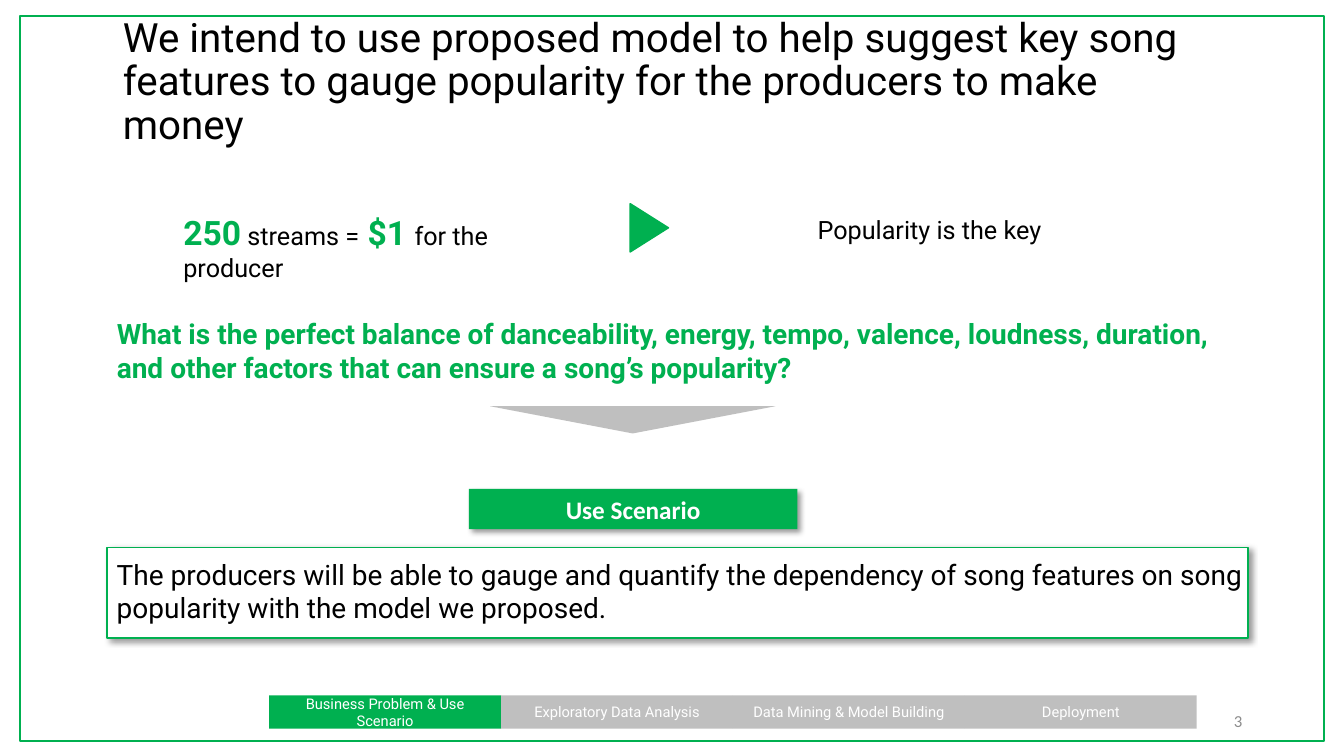
from lxml import etree
from pptx import Presentation
from pptx import util as u
from pptx.dml.color import RGBColor
from pptx.enum import shapes, text
from pptx.oxml import ns

PX = 9144
THEME = {
    "green": "00B050", "gray": "BFBFBF", "white": "FFFFFF", "black": "000000",
    "muted": "8C8C8C", "font": "Roboto", "alt_font": "Calibri",
    "title": 28.8, "figure": 24, "lead": 20, "body": 18, "number": 12, "nav": 10.5,
}
RECT = shapes.MSO_SHAPE.RECTANGLE
TRIANGLE = shapes.MSO_SHAPE.ISOSCELES_TRIANGLE

deck = Presentation()
deck.slide_width, deck.slide_height = 1333 * PX, 750 * PX
slide = deck.slides.add_slide(deck.slide_layouts[6])


def place(kind, left, top, width, height, fill=None, line=None, weight=1, raised=False):
    box = [n * PX for n in (left, top, width, height)]
    if kind is None:
        return slide.shapes.add_textbox(*box)
    shape = slide.shapes.add_shape(kind, *box)
    shape.shadow.inherit = False
    if fill:
        shape.fill.solid()
        shape.fill.fore_color.rgb = RGBColor.from_string(THEME[fill])
    else:
        shape.fill.background()
    if line:
        shape.line.color.rgb = RGBColor.from_string(THEME[line])
        shape.line.width = u.Pt(weight)
    else:
        shape.line.fill.background()
    if raised:
        effects = shape.element.spPr.find(ns.qn("a:effectLst"))
        shadow = etree.SubElement(effects, ns.qn("a:outerShdw"), blurRad=str(u.Pt(4)),
                                  dist=str(u.Pt(3)), dir="2700000", algn="tl", rotWithShape="0")
        tint = etree.SubElement(shadow, ns.qn("a:srgbClr"), val=THEME["black"])
        etree.SubElement(tint, ns.qn("a:alpha"), val="40000")
    return shape


def write(shape, words, size="body", color="black", bold=False, font="font",
          align="LEFT", anchor="TOP", spacing=None):
    frame = shape.text_frame
    frame.word_wrap = True
    frame.vertical_anchor = text.MSO_ANCHOR[anchor]
    paragraph = frame.paragraphs[0]
    paragraph.alignment = text.PP_ALIGN[align]
    if spacing:
        paragraph.line_spacing = spacing
    run = paragraph.add_run()
    run.text = words
    run.font.name = THEME[font]
    run.font.size = u.Pt(THEME[size])
    run.font.bold = bold
    run.font.color.rgb = RGBColor.from_string(THEME[color])


place(RECT, 20, 16, 1293, 719, line="green", weight=1.5)

stages = ["Business Problem & Use Scenario", "Exploratory Data Analysis",
          "Data Mining & Model Building", "Deployment"]
for i, stage in enumerate(stages):
    tab = place(RECT, 267 + 230 * i, 690, 230, 33, fill="gray" if i else "green")
    write(tab, stage, size="nav", color="white", align="CENTER", anchor="MIDDLE")

title = place(None, 112, 32, 1108, 100)
write(title, "We intend to use proposed model to help suggest key song features to gauge "
      "popularity for the producers to make money", size="title", anchor="MIDDLE", spacing=0.9)

question = place(None, 106, 309, 1132, 77)
write(question, "What is the perfect balance of danceability, energy, tempo, valence, loudness, "
      "duration, and other factors that can ensure a song’s popularity?",
      size="lead", color="green", bold=True)

place(RECT, 106, 543, 1132, 90, fill="white", line="green", raised=True)
answer = place(None, 106, 548, 1157, 77)
write(answer, "The producers will be able to gauge and quantify the dependency of song features "
      "on song popularity with the model we proposed.", size="lead")

down_arrow = place(TRIANGLE, 486, 403, 283, 27, fill="gray")
down_arrow.rotation = 180

scenario = place(RECT, 465, 485, 326, 40, fill="green", raised=True)
write(scenario, "Use Scenario", color="white", bold=True, font="alt_font",
      align="CENTER", anchor="MIDDLE")

revenue = place(None, 172, 205, 415, 50)
for words, is_figure in [("250", True), (" streams =", False),
                         (" $1 ", True), ("for the producer", False)]:
    write(revenue, words, size="figure" if is_figure else "body",
          color="green" if is_figure else "black", bold=is_figure)

right_arrow = place(TRIANGLE, 620, 207, 48, 38, fill="green", line="green")
right_arrow.rotation = 90

takeaway = place(None, 801, 208, 415, 40)
write(takeaway, "Popularity is the key")

page_number = place(None, 942, 695, 300, 40)
write(page_number, "3", size="number", color="muted", font="alt_font",
      align="RIGHT", anchor="MIDDLE")

deck.save("out.pptx")
